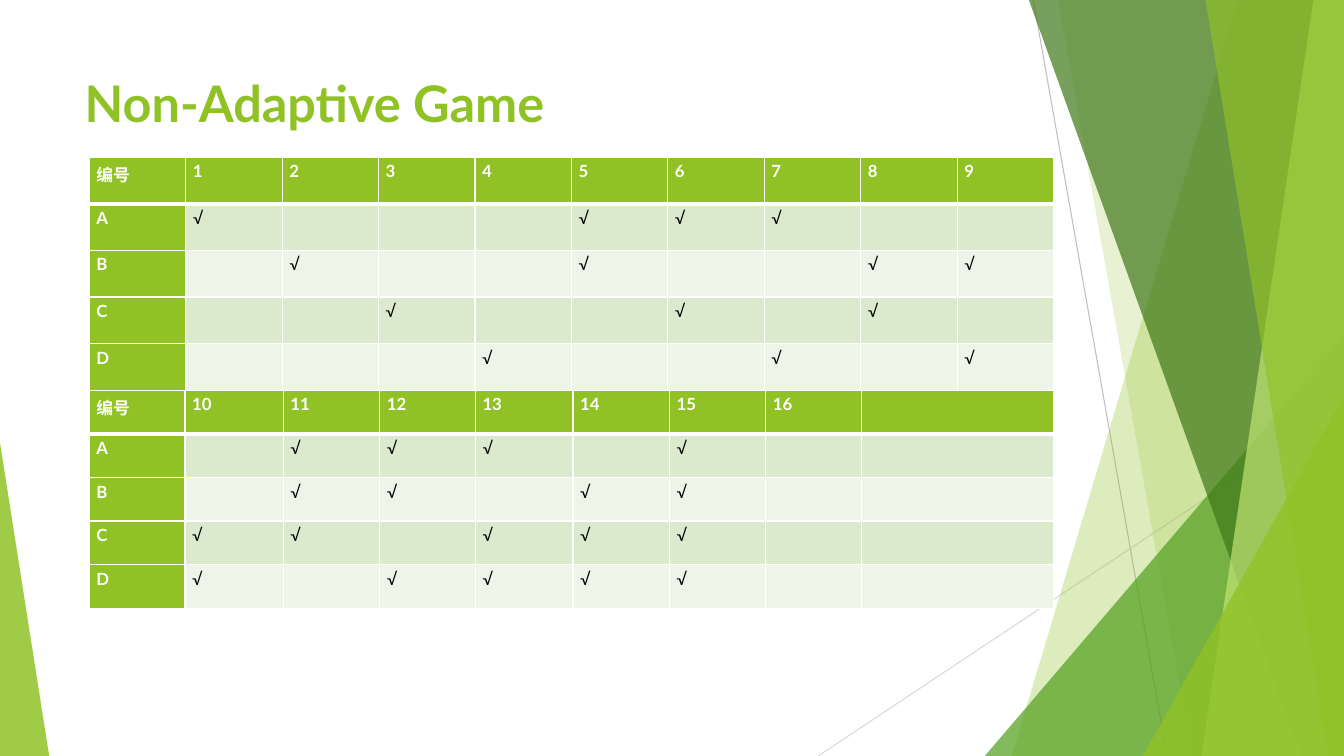
from lxml import etree
from pptx import Presentation
from pptx.dml.color import RGBColor
from pptx.enum.shapes import MSO_CONNECTOR, MSO_SHAPE
from pptx.enum.text import MSO_ANCHOR, MSO_AUTO_SIZE, PP_ALIGN
from pptx.oxml.ns import qn
from pptx.util import Cm, Pt

TRIANGLE = MSO_SHAPE.ISOSCELES_TRIANGLE
STRAIGHT = MSO_CONNECTOR.STRAIGHT
TOP = MSO_ANCHOR.TOP
NO_FIT = MSO_AUTO_SIZE.NONE
LEFT, JUSTIFY = PP_ALIGN.LEFT, PP_ALIGN.JUSTIFY

FONT = "Lato"
W, H = 33.87, 19.05
COLORS = {
    "lime": "90C226",
    "green": "54A021",
    "forest": "3F7819",
    "pale": "C0E474",
    "line_dark": "BFBFBF",
    "line_light": "D9D9D9",
    "band_dark": "DBE9CD",
    "band_light": "EEF4E8",
    "white": "FFFFFF",
    "black": "000000",
}
FACETS = [
    ("band", 31.19, 25.5, "lime", 30),
    ("band", 26.67, 30.05, "lime", 20),
    ("triangle", 24.82, 8.46, "green", 72),
    ("band", 25.93, 32.79, "forest", 70),
    ("band", 33.1, 30.28, "pale", 70),
    ("band", 30.38, 33.48, "lime", 65),
    ("triangle", 28.8, 9.98, "lime", 80),
]
FIRST_MARKS = {"A": (1, 5, 6, 7), "B": (2, 5, 8, 9), "C": (3, 6, 8), "D": (4, 7, 9)}
SECOND_MARKS = {
    "A": (11, 12, 13, 15),
    "B": (11, 12, 14, 15),
    "C": (10, 11, 13, 14, 15),
    "D": (10, 12, 13, 14, 15),
}
FIRST_WIDTHS = [2.43] * 10
SECOND_WIDTHS = [2.41, 2.48, 2.43, 2.41, 2.46, 2.43, 2.43, 2.42, 4.83]


def rgb(name):
    return RGBColor.from_string(COLORS[name])


def write(tf, text, size=12, color="black", bold=False, align=JUSTIFY, spacing=1.2):
    p = tf.paragraphs[0]
    p.alignment = align
    p.line_spacing = spacing
    p.font.size = Pt(size)
    if text:
        r = p.add_run()
        r.text = text
        r.font.name = FONT
        r.font.size = Pt(size)
        r.font.bold = bold
        r.font.color.rgb = rgb(color)


def paint(sp, color, opacity):
    sp.shadow.inherit = False
    sp.line.fill.background()
    sp.fill.solid()
    sp.fill.fore_color.rgb = rgb(color)
    clr = sp.fill._xPr.find(qn("a:solidFill"))[0]
    etree.SubElement(clr, qn("a:alpha")).set("val", str(opacity * 1000))


def add_line(shapes, x1, y1, x2, y2, color):
    line = shapes.add_connector(STRAIGHT, Cm(x1), Cm(y1), Cm(x2), Cm(y2))
    line.line.color.rgb = rgb(color)
    line.line.width = Pt(0.75)
    etree.SubElement(line._element.spPr, qn("a:effectLst"))


def add_triangle(shapes, x, y, w, h, corner, color, opacity):
    sp = shapes.add_shape(TRIANGLE, Cm(x), Cm(y), Cm(w), Cm(h))
    sp.adjustments[0] = corner
    paint(sp, color, opacity)


def add_band(shapes, x_top, x_bottom, right, bottom, color, opacity):
    builder = shapes.build_freeform(Cm(x_top), 0)
    corners = [(right, 0), (right, bottom), (x_bottom, bottom)]
    builder.add_line_segments([(Cm(x), Cm(y)) for x, y in corners], close=True)
    paint(builder.convert_to_shape(), color, opacity)


def add_facets(slide, w, h):
    shapes = slide.shapes.add_group_shape().shapes
    add_line(shapes, 26.04, 0, 29.41, h, "line_dark")
    add_line(shapes, w, 10.24, 20.62, h, "line_light")
    for kind, a, b, color, opacity in FACETS:
        if kind == "band":
            add_band(shapes, a, b, w, h, color, opacity)
        else:
            add_triangle(shapes, a, b, w - a, h - b, 1, color, opacity)
    add_triangle(shapes, 0, 11.15, 1.24, h - 11.15, 0, "lime", 85)


def add_title(slide, text, x, y, w, h):
    sp = slide.shapes.title
    sp.left, sp.top, sp.width, sp.height = Cm(x), Cm(y), Cm(w), Cm(h)
    tf = sp.text_frame
    tf.word_wrap = True
    tf.auto_size = NO_FIT
    tf.vertical_anchor = TOP
    write(tf, text, size=36, color="lime", bold=True, align=LEFT, spacing=1.0)


def set_borders(cell, **widths):
    tcPr = cell._tc.get_or_add_tcPr()
    for side in "LRTB":
        ln = etree.SubElement(tcPr, qn(f"a:ln{side}"))
        ln.set("w", str(Pt(widths.get(side, 1))))
        fill = etree.SubElement(ln, qn("a:solidFill"))
        etree.SubElement(fill, qn("a:srgbClr")).set("val", COLORS["white"])


def format_cell(cell, text, row, col):
    heading = row == 0 or col == 0
    band = "band_dark" if row % 2 else "band_light"
    cell.margin_left = cell.margin_right = Cm(0.18)
    cell.margin_top = cell.margin_bottom = 0
    cell.vertical_anchor = TOP
    set_borders(cell, B=3 if row == 0 else 1, T=3 if row == 1 else 1)
    cell.fill.solid()
    cell.fill.fore_color.rgb = rgb("lime" if heading else band)
    write(cell.text_frame, text, color="white" if heading else "black", bold=heading)


def add_marks_table(slide, numbers, marks, widths, x, y, h):
    rows = [["编号"] + [str(n) if n else "" for n in numbers]]
    for name, ticked in marks.items():
        rows.append([name] + ["√" if n in ticked else "" for n in numbers])
    frame = slide.shapes.add_table(
        len(rows), len(widths), Cm(x), Cm(y), Cm(sum(widths)), Cm(h)
    )
    table = frame.table
    table.horz_banding = False
    for column, width in zip(table.columns, widths):
        column.width = Cm(width)
    for i, texts in enumerate(rows):
        table.rows[i].height = Cm(h / len(rows))
        for j, text in enumerate(texts):
            format_cell(table.cell(i, j), text, i, j)


def main():
    prs = Presentation()
    prs.slide_width, prs.slide_height = Cm(W), Cm(H)
    slide = prs.slides.add_slide(prs.slide_layouts[5])
    add_facets(slide, W, H)
    add_title(slide, "Non-Adaptive Game", 1.88, 1.7, 23.88, 3.66)
    x, y, h = 2.25, 3.96, 5.87
    add_marks_table(slide, range(1, 10), FIRST_MARKS, FIRST_WIDTHS, x, y, h)
    numbers = [*range(10, 17), None]
    add_marks_table(slide, numbers, SECOND_MARKS, SECOND_WIDTHS, x, y + h, 5.5)
    prs.save("out.pptx")


if __name__ == "__main__":
    main()
